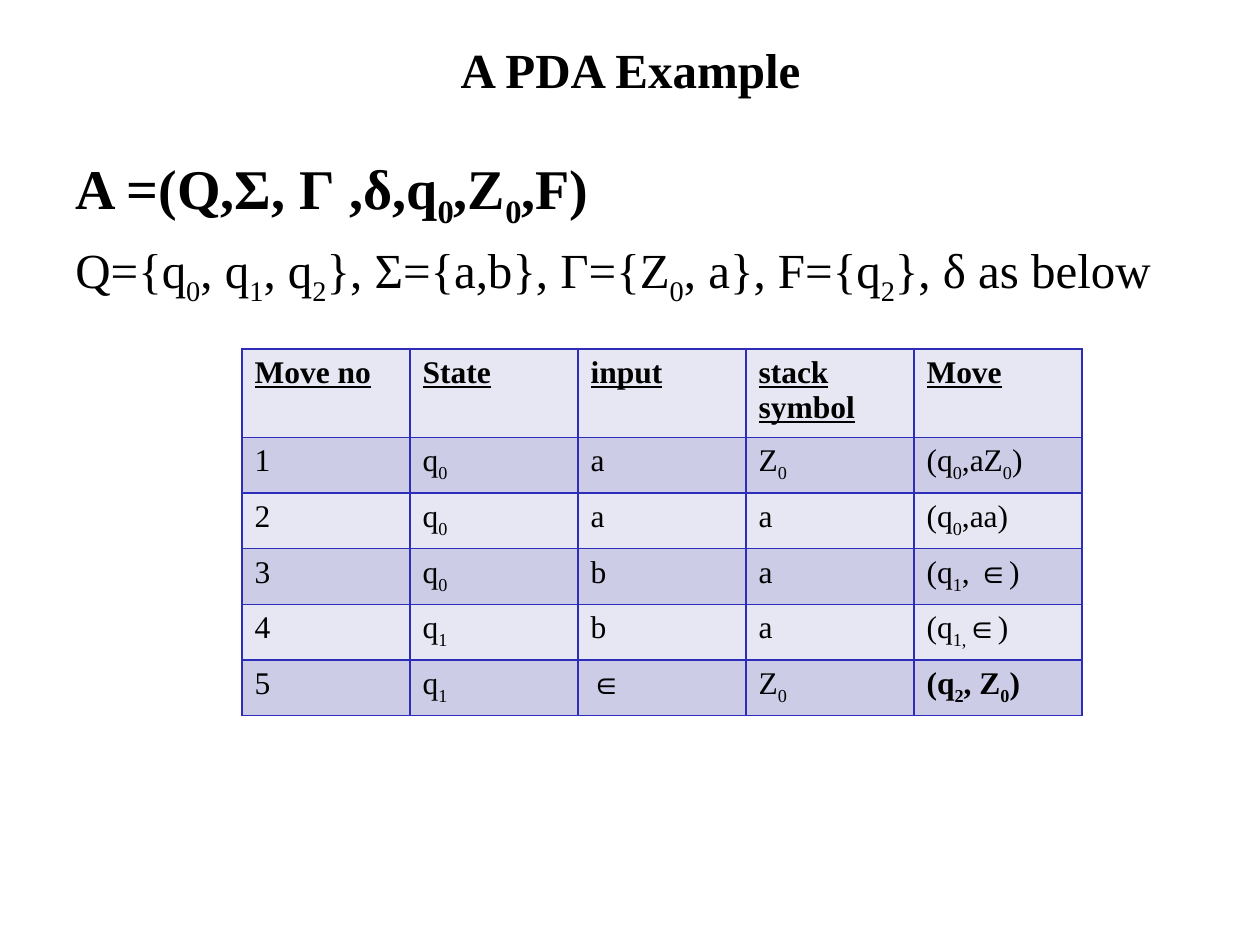
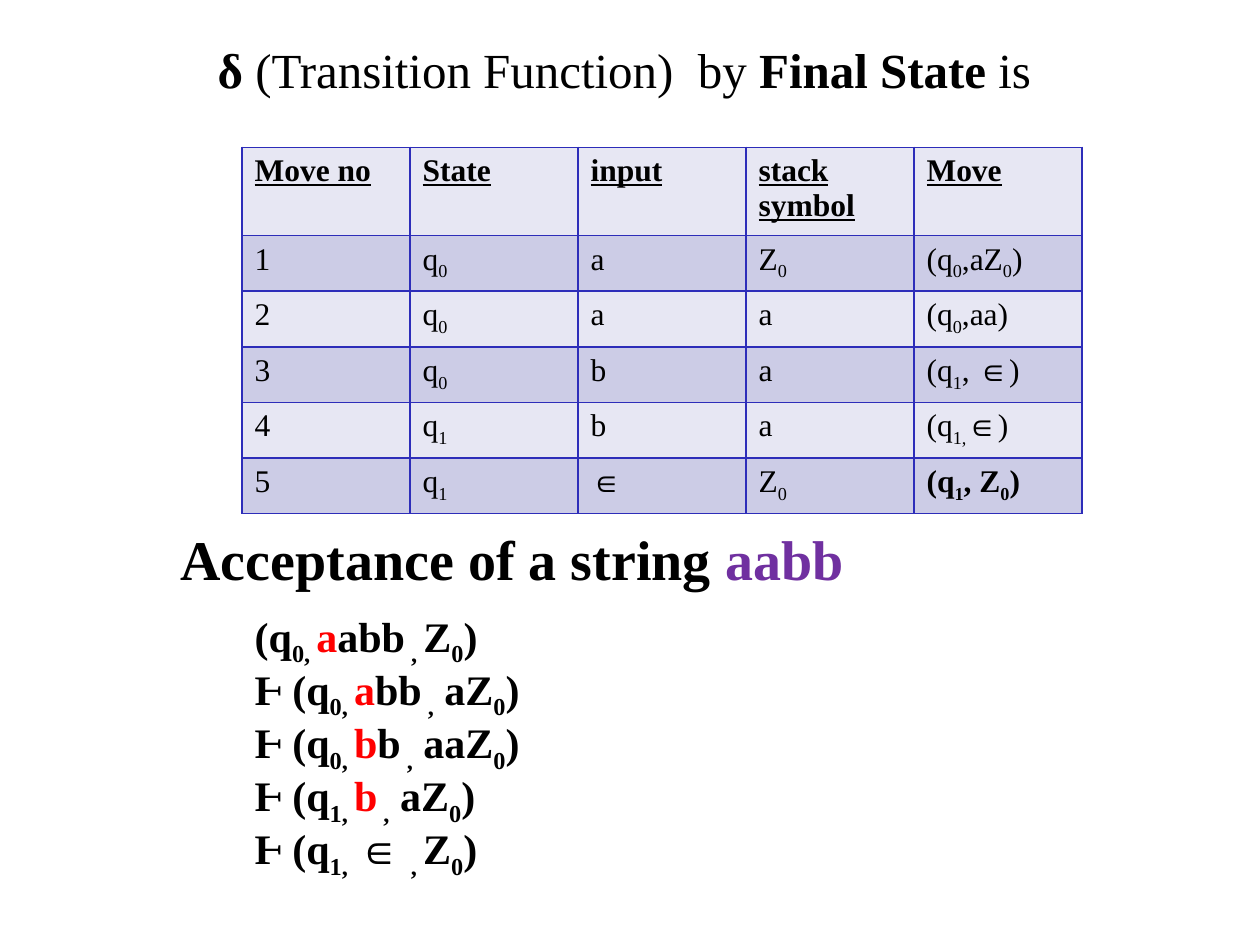
"""Build two slides on a pushdown automaton and its moves."""
from lxml.etree import SubElement
from pptx import Presentation
from pptx.dml.color import RGBColor
from pptx.enum.text import MSO_ANCHOR, PP_ALIGN
from pptx.oxml.ns import qn
from pptx.util import Cm, Pt

BLACK = RGBColor(0x00, 0x00, 0x00)
WHITE = RGBColor(0xFF, 0xFF, 0xFF)
RED = RGBColor(0xFF, 0x00, 0x00)
PURPLE = RGBColor(0x70, 0x30, 0xA0)
BLUE = RGBColor(0x2D, 0x2D, 0xB9)
PALE = RGBColor(0xE7, 0xE7, 0xF3)
LILAC = RGBColor(0xCC, 0xCC, 0xE6)
INKS = {"!": RED, "^": PURPLE}
MARKS = "_*!^"

TITLE = {"size": Pt(28), "bold": False}
HEADING = {"size": Pt(32), "bold": True}
BODY = {"size": Pt(28), "bold": False}
HEAD_CELL = {"size": Pt(18), "bold": True, "underline": True}
CELL = {"size": Pt(18), "bold": False}
FINAL_CELL = {"size": Pt(18), "bold": True}
STEP = {"size": Pt(24), "bold": True}

TABLE_LEFT, TABLE_WIDTH, ROW_HEIGHT = 4.88, 16.93, 1.04
HEADER = ["Move no", "State", "input", "stack symbol", "Move"]
MOVES = [
    ["1", "q|_0", "a", "Z|_0", "(q|_0|,aZ|_0|)"],
    ["2", "q|_0", "a", "a", "(q|_0|,aa)"],
    ["3", "q|_0", "b", "a", "(q|_1|, ∈)"],
    ["4", "q|_1", "b", "a", "(q|_1,|∈)"],
    ["5", "q|_1", "∈", "Z|_0"],
]
STEPS = [
    "(q|_0, |!a|abb|_ , |Z|_0|)",
    "Ⱶ (q|_0, |!a|bb|_ ,| aZ|_0|)",
    "Ⱶ (q|_0, |!b|b|_ ,| aaZ|_0|)",
    "Ⱶ (q|_1, |!b|_ ,| aZ|_0|)",
    "Ⱶ (q|_1,| ∈ |_, |Z|_0|)",
]


class Deck:
    """Hold the style and the current slide; runs are split by | and marked _ sub, * bold, ! red, ^ purple."""

    font = "Times New Roman"

    def __init__(self):
        self.prs = Presentation()
        self.prs.slide_width, self.prs.slide_height = Cm(25.4), Cm(19.05)

    def slide(self, title):
        self.s = self.prs.slides.add_slide(self.prs.slide_layouts[6])
        tf = self.text(0.43, 0.43, 24.56, 1.9, [(title, TITLE)])
        tf.vertical_anchor = MSO_ANCHOR.MIDDLE
        tf.paragraphs[0].alignment = PP_ALIGN.CENTER

    def fill_text(self, tf, lines):
        for i, (line, style) in enumerate(lines):
            p = tf.add_paragraph() if i else tf.paragraphs[0]
            for part in filter(None, line.split("|")):
                mark = part[0] if part[0] in MARKS else ""
                r = p.add_run()
                r.text = part[len(mark):]
                for name, value in {"name": self.font, **style}.items():
                    setattr(r.font, name, value)
                r.font.color.rgb = INKS.get(mark, BLACK)
                if mark == "*":
                    r.font.bold = True
                if mark == "_":
                    r._r.get_or_add_rPr().set("baseline", "-25000")

    def text(self, left, top, width, height, lines):
        tf = self.s.shapes.add_textbox(Cm(left), Cm(top), Cm(width), Cm(height)).text_frame
        tf.word_wrap = True
        self.fill_text(tf, lines)
        return tf

    def border(self, cell, color, width):
        tcPr = cell._tc.get_or_add_tcPr()
        for side in "LRTB":
            ln = SubElement(tcPr, qn(f"a:ln{side}"), w=str(Pt(width)))
            fill = SubElement(ln, qn("a:solidFill"))
            SubElement(fill, qn("a:srgbClr"), val=str(color))

    def table(self, top, width, row_height, rows, fills, line):
        """Add a table whose cells are lists of (line, style) and whose row fills alternate."""
        frame = self.s.shapes.add_table(len(rows), len(rows[0]), Cm(TABLE_LEFT), Cm(top),
                                        Cm(width), Cm(row_height * len(rows)))
        table = frame.table
        table.first_row = table.horz_banding = False
        for i, row in enumerate(rows):
            for j, lines in enumerate(row):
                cell = table.cell(i, j)
                self.border(cell, *line)
                cell.fill.solid()
                cell.fill.fore_color.rgb = fills[i % len(fills)]
                self.fill_text(cell.text_frame, lines)

    def moves(self, top, final_move):
        rows = [[[(text, HEAD_CELL)] for text in HEADER]]
        rows += [[[(text, CELL)] for text in row] for row in MOVES]
        rows[-1].append([(final_move, FINAL_CELL)])
        self.table(top, TABLE_WIDTH, ROW_HEIGHT, rows, [PALE, LILAC], (BLUE, 1))


def main():
    deck = Deck()

    deck.slide("*A PDA Example")
    deck.moves(7.04, "(q|_2|, Z|_0|)")
    tf = deck.text(1.27, 2.97, 22.86, 3.05, [
        ("A =(Q,Σ, Г ,δ,q|_0|,Z|_0|,F)", HEADING),
        ("Q={q|_0|, q|_1|, q|_2|}, Σ={a,b}, Г={Z|_0|, a}, F={q|_2|}, δ as below", BODY),
    ])
    tf.paragraphs[1].space_before = Pt(5.6)

    deck.slide("*δ| (Transition Function)  by |*Final State |is ")
    deck.moves(2.97, "(q|_1|, Z|_0|)")
    deck.text(3.39, 10.44, 20.75, 1.63, [("Acceptance of a string |^aabb", HEADING)])
    deck.table(12.27, 12.07, 3.45, [[[(step, STEP) for step in STEPS]]], [WHITE], (WHITE, 0.75))

    deck.prs.save("out.pptx")


if __name__ == "__main__":
    main()
